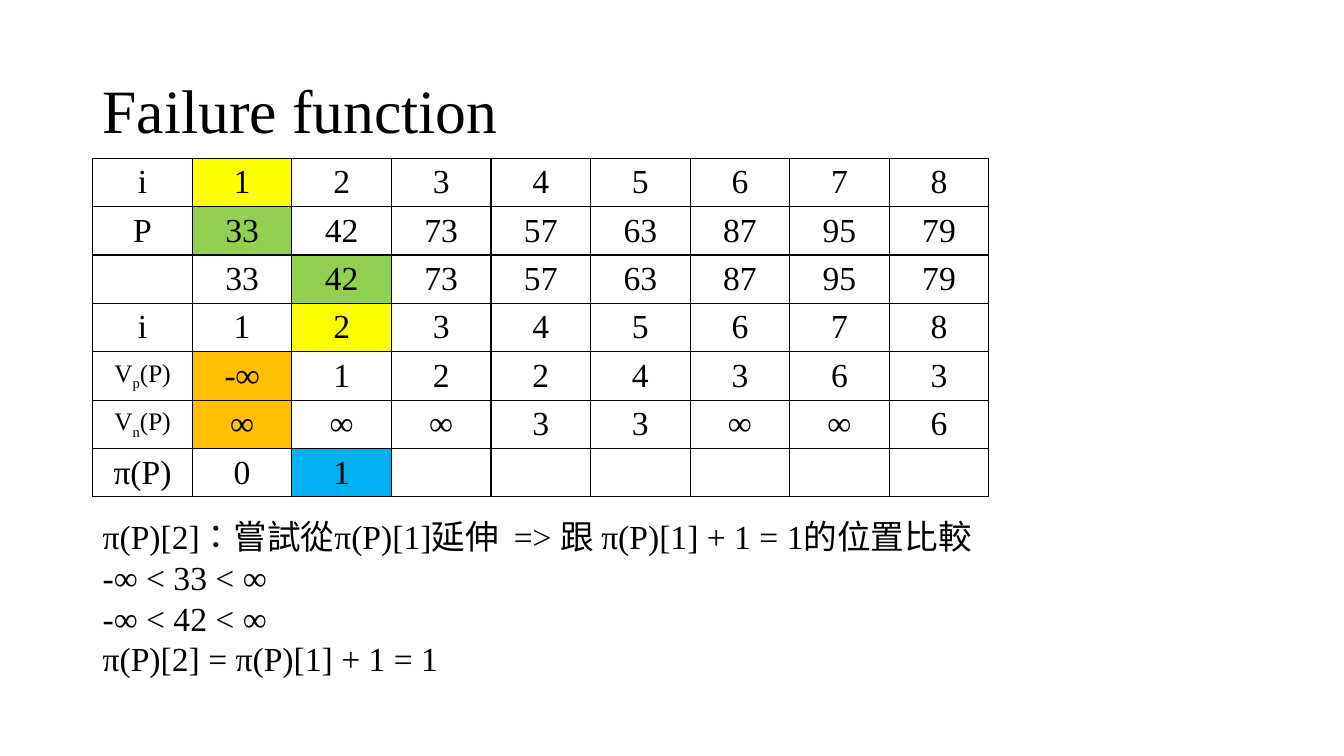
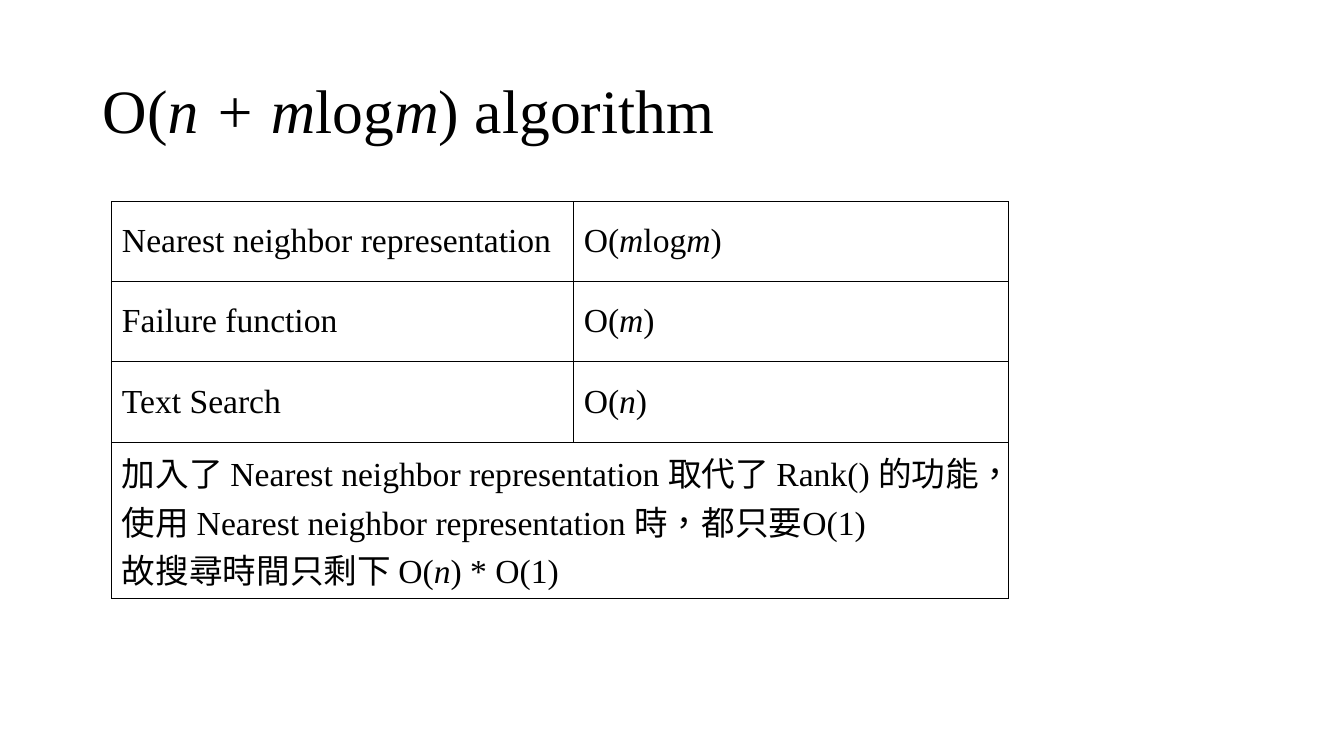
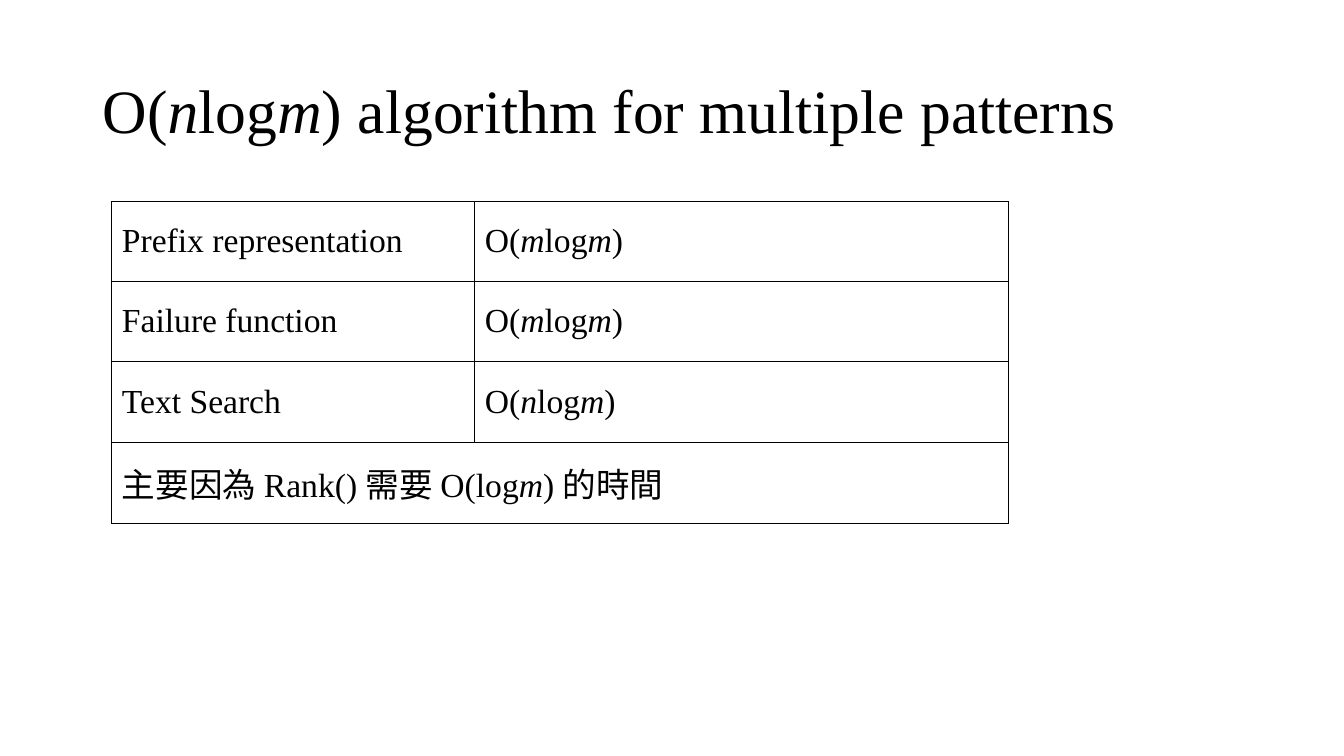
from dataclasses import dataclass

from lxml.etree import SubElement
from pptx import Presentation
from pptx.dml.color import RGBColor
from pptx.enum.text import MSO_ANCHOR, PP_ALIGN
from pptx.oxml.ns import qn
from pptx.util import Inches, Pt


@dataclass(frozen=True)
class Theme:
    face: str = "Times New Roman"
    ink: str = "000000"
    yellow: str = "FFFF00"
    green: str = "92D050"
    amber: str = "FFC000"
    blue: str = "00B0F0"
    head: int = 44
    body: int = 24
    small: int = 18
    edge: int = 1


LOOK = Theme()
ITAL = {"italic": True}
BOLD = {"bold": True}
SUB = {"baseline": "-25000"}


def apply(item, form):
    for name, value in form.items():
        setattr(item, name, value)


def write(para, text, size=LOOK.body, mark=ITAL, form=None):
    apply(para, form or {})
    for spot, part in enumerate(text.split("|")):
        if not part:
            continue
        run = para.add_run()
        run.text = part
        apply(run.font, {"name": LOOK.face, "size": Pt(size)})
        run.font.color.rgb = RGBColor.from_string(LOOK.ink)
        props = run._r.get_or_add_rPr()
        props.set("lang", "zh-TW")
        if spot % 2:
            if "baseline" in mark:
                props.set("baseline", mark["baseline"])
            else:
                apply(run.font, mark)


def fill_text(frame, lines, **style):
    for spot, line in enumerate(lines):
        para = frame.add_paragraph() if spot else frame.paragraphs[0]
        write(para, line, **style)


def add_text(slide, box, lines, anchor=MSO_ANCHOR.TOP, **style):
    frame = slide.shapes.add_textbox(*map(Inches, box)).text_frame
    apply(frame, {"word_wrap": True, "vertical_anchor": anchor})
    fill_text(frame, lines, **style)


def add_slide(deck, title):
    slide = deck.slides.add_slide(deck.slide_layouts[6])
    add_text(slide, (0.92, 0.4, 11.5, 1.45), [title], MSO_ANCHOR.MIDDLE,
             size=LOOK.head, form={"line_spacing": 0.9})
    return slide


def set_edges(cell):
    props = cell._tc.get_or_add_tcPr()
    for spot, side in enumerate(("lnL", "lnR", "lnT", "lnB")):
        line = SubElement(props, qn("a:" + side), w=str(Pt(LOOK.edge)))
        solid = SubElement(line, qn("a:solidFill"))
        SubElement(solid, qn("a:srgbClr"), val=LOOK.ink)
        props.insert(spot, line)


def add_grid(slide, left, top, cols, rows):
    size = sum(cols), sum(rows)
    frame = slide.shapes.add_table(
        len(rows), len(cols), *map(Inches, (left, top, *size)))
    table = frame.table
    apply(table, {"first_row": False, "horz_banding": False})
    for col, width in zip(table.columns, cols):
        col.width = Inches(width)
    for row, height in zip(table.rows, rows):
        row.height = Inches(height)
    for cell in table.iter_cells():
        cell.vertical_anchor = MSO_ANCHOR.MIDDLE
        cell.fill.background()
        set_edges(cell)
    return table


def add_trace(slide):
    count = [str(n) for n in range(1, 9)]
    keys = "33 42 73 57 63 87 95 79".split()
    rows = [
        ["i", *count],
        ["P", *keys],
        ["", *keys],
        ["i", *count],
        ["V|p|(P)", "-|∞|", *"1 2 2 4 3 6 3".split()],
        ["V|n|(P)", *"∞ ∞ ∞ 3 3 ∞ ∞ 6".split()],
        ["π(P)", "0", "1"] + [""] * 6,
    ]
    tints = {
        (0, 1): LOOK.yellow, (3, 2): LOOK.yellow,
        (1, 1): LOOK.green, (2, 2): LOOK.green,
        (4, 1): LOOK.amber, (5, 1): LOOK.amber,
        (6, 2): LOOK.blue,
    }
    table = add_grid(slide, 0.92, 1.57, [8.89 / 9] * 9, [0.47] * 7)
    for y, row in enumerate(rows):
        for x, text in enumerate(row):
            cell = table.cell(y, x)
            apply(cell, {"margin_top": Inches(0.04),
                         "margin_bottom": Inches(0.04)})
            label = text.startswith("V")
            write(cell.text_frame.paragraphs[0], text,
                  LOOK.small if label else LOOK.body,
                  SUB if label else BOLD, {"alignment": PP_ALIGN.CENTER})
            if (y, x) in tints:
                cell.fill.solid()
                cell.fill.fore_color.rgb = RGBColor.from_string(tints[y, x])


def add_costs(slide, split, pairs, notes, foot):
    table = add_grid(slide, 1.11, 2, [split, 8.89 - split],
                     [0.79, 0.8, 0.8, foot])
    for y, pair in enumerate(pairs):
        for x, text in enumerate(pair):
            fill_text(table.cell(y, x).text_frame, [text])
    last = table.cell(3, 0)
    last.merge(table.cell(3, 1))
    fill_text(last.text_frame, notes)


def main():
    deck = Presentation()
    apply(deck, {"slide_width": Inches(13.33), "slide_height": Inches(7.5)})

    slide = add_slide(deck, "Failure function")
    add_trace(slide)
    add_text(slide, (0.92, 5.07, 9.37, 1.72), [
        "π(P)[2]：嘗試從π(P)[1]延伸  => 跟 π(P)[1] + 1 = 1的位置比較",
        "-∞ < 33 < ∞",
        "-∞ < 42 < ∞",
        "π(P)[2] = π(P)[1] + 1 = 1",
    ], form={"line_spacing": Pt(29)})

    slide = add_slide(deck, "O(|n + m|log|m|) algorithm")
    add_costs(slide, 4.58, [
        ("Nearest neighbor representation", "O(|m|log|m|)"),
        ("Failure function", "O(|m|)"),
        ("Text Search", "O(|n|)"),
    ], [
        "加入了 Nearest neighbor representation 取代了 Rank() 的功能，"
        "使用 Nearest neighbor representation 時，都只要O(1)",
        "故搜尋時間只剩下 O(|n|) * O(1)",
    ], 1.55)

    slide = add_slide(deck, "O(|n|log|m|) algorithm for multiple patterns")
    add_costs(slide, 3.6, [
        ("Prefix representation", "O(|m|log|m|)"),
        ("Failure function", "O(|m|log|m|)"),
        ("Text Search", "O(|n|log|m|)"),
    ], ["主要因為 Rank() 需要 O(log|m|) 的時間"], 0.8)

    deck.save("out.pptx")


if __name__ == "__main__":
    main()
